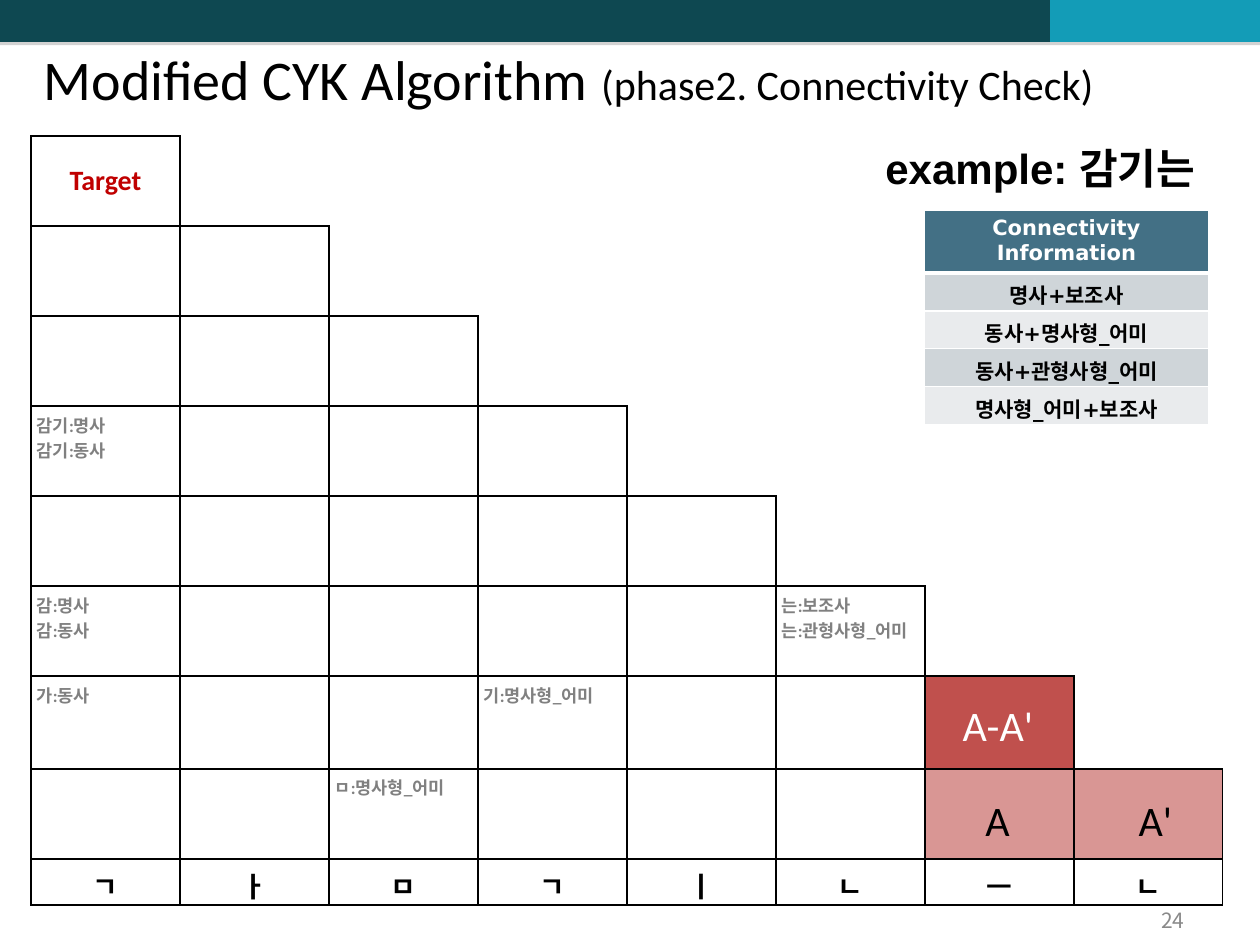
import pptx
import pptx.util
import pptx.dml.color
import pptx.enum.shapes
import pptx.enum.text
import lxml.etree

THEME = {
    "ink": "000000", "white": "FFFFFF", "gray": "808080", "page": "898989",
    "teal": "0E4851", "cyan": "139CB7", "red": "C00000", "brick": "C0504D",
    "rose": "D99694", "head": "437085", "bands": ("CFD5D9", "E9EBED"),
    "body": "Calibri", "sans": "Arial", "wide": "DejaVu Sans", "hangul": "Noto Sans CJK KR",
    "title": 32, "large": 24, "mid": 16, "small": 12, "tiny": 10,
}
BARS = [(0, 514, "teal"), (514, 536, "teal"), (1050, 210, "cyan")]
TITLE = ["Modified CYK Algorithm ", "(phase2. Connectivity Check)"]
LETTERS = "ㄱㅏㅁㄱㅣㄴㅡㄴ"
NOTES = {
    (3, 0): "감기:명사\n감기:동사",
    (5, 0): "감:명사\n감:동사",
    (5, 5): "는:보조사\n는:관형사형_어미",
    (6, 0): "가:동사",
    (6, 3): "기:명사형_어미",
    (7, 2): "ㅁ:명사형_어미",
}
FILLS = {(6, 6): "brick", (7, 6): "rose", (7, 7): "rose"}
RULES = ["Connectivity Information", "명사+보조사", "동사+명사형_어미",
         "동사+관형사형_어미", "명사형_어미+보조사"]
LABELS = [
    ((940, 693, 116, 63), "A-A'", "white"),
    ((966, 788, 63, 63), "A", "ink"),
    ((1124, 788, 63, 63), "A'", "ink"),
]
HEIGHTS = [90] * 6 + [93, 90, 43]
COL = 149
SIDES = ("L", "R", "T", "B")

Align = pptx.enum.text.PP_ALIGN
Anchor = pptx.enum.text.MSO_ANCHOR
Auto = pptx.enum.text.MSO_AUTO_SIZE
NS = "http://schemas.openxmlformats.org/drawingml/2006/main"


def px(n):
    return pptx.util.Emu(round(n * 914400 / 126))


def color(key):
    return pptx.dml.color.RGBColor.from_string(THEME.get(key, key))


def node(up, tag, **atts):
    return lxml.etree.SubElement(up, "{%s}%s" % (NS, tag), atts)


def style(run, size, face, tint, bold=False):
    font = run.font
    font.size = pptx.util.Pt(THEME[size])
    font.name = THEME[face]
    font.bold = bold
    font.color.rgb = color(tint)
    node(font._element, "ea", typeface=THEME["hangul"])


def write(frame, text, size, face, tint, bold=False, align=Align.LEFT):
    frame.text = text
    for para in frame.paragraphs:
        para.alignment = align
        for run in para.runs:
            style(run, size, face, tint, bold)


def label(box, text, size, face, tint, bold=False, align=Align.CENTER, wrap=True):
    frame = slide.shapes.add_textbox(*map(px, box)).text_frame
    write(frame, text, size, face, tint, bold, align)
    frame.word_wrap = wrap
    return frame


def border(cell, lines):
    props = cell._tc.get_or_add_tcPr()
    for spot, side in enumerate(SIDES):
        tint, width = lines.get(side, (None, 0))
        line = lxml.etree.Element("{%s}ln%s" % (NS, side), w=str(int(width * 12700)))
        if tint:
            node(node(line, "solidFill"), "srgbClr", val=THEME[tint])
        else:
            node(line, "noFill")
        props.insert(spot, line)


def grid(left, top, widths, heights):
    box = map(px, (left, top, sum(widths), sum(heights)))
    table = slide.shapes.add_table(len(heights), len(widths), *box).table
    table.first_row = table.horz_banding = False
    for col, width in zip(table.columns, widths):
        col.width = px(width)
    for row, height in zip(table.rows, heights):
        row.height = px(height)
    return table


deck = pptx.Presentation()
deck.slide_width, deck.slide_height = px(1260), px(945)
slide = deck.slides.add_slide(deck.slide_layouts[5])

for left, width, tint in BARS:
    bar = slide.shapes.add_shape(pptx.enum.shapes.MSO_SHAPE.RECTANGLE,
                                 px(left), 0, px(width), px(42))
    bar.fill.solid()
    bar.fill.fore_color.rgb = color(tint)
    bar.line.fill.background()
    bar.shadow.inherit = False
    glow = node(bar._element.spPr[-1], "outerShdw", dist="22860", dir="5400000")
    node(node(glow, "srgbClr", val=THEME["gray"]), "alpha", val="35000")

title = slide.shapes.title
title.left, title.top, title.width, title.height = map(px, (31, 38, 1191, 98))
frame = title.text_frame
frame.vertical_anchor = Anchor.TOP
frame.auto_size = Auto.NONE
para = frame.paragraphs[0]
para.alignment = Align.LEFT
for text, size in zip(TITLE, ("title", "large")):
    run = para.add_run()
    run.text = text
    style(run, size, "body", "ink")

page = label((903, 903, 294, 34), "24", "small", "hangul", "page", align=Align.RIGHT)
page.vertical_anchor = Anchor.MIDDLE

chart = grid(31, 136, [COL] * len(LETTERS), HEIGHTS)
last = len(HEIGHTS) - 1
for r in range(len(HEIGHTS)):
    for c in range(len(LETTERS)):
        cell = chart.cell(r, c)
        if (r, c) in FILLS:
            cell.fill.solid()
            cell.fill.fore_color.rgb = color(FILLS[r, c])
        else:
            cell.fill.background()
        shown = SIDES if c <= r else "LB" if c == r + 1 else ""
        border(cell, {side: ("ink", 1) for side in shown})
        if r == last:
            write(cell.text_frame, LETTERS[c], "mid", "body", "ink", True, Align.CENTER)
            continue
        cell.margin_left = cell.margin_right = cell.margin_top = cell.margin_bottom = px(6)
        if (r, c) in NOTES:
            write(cell.text_frame, NOTES[r, c], "tiny", "body", "gray", True)
goal = chart.cell(0, 0)
goal.vertical_anchor = Anchor.MIDDLE
write(goal.text_frame, "Target", "mid", "body", "red", True, Align.CENTER)

head = label((873, 136, 349, 63), "example: 감기는", "large", "sans", "ink", True, Align.LEFT, False)
head.auto_size = Auto.SHAPE_TO_FIT_TEXT

rules = grid(924, 210, [285], [32] * len(RULES))
for r, text in enumerate(RULES):
    cell = rules.cell(r, 0)
    cell.fill.solid()
    cell.fill.fore_color.rgb = color(THEME["bands"][(r - 1) % 2] if r else "head")
    lines = {side: ("white", 1) for side in SIDES}
    if r < 2:
        lines["T" if r else "B"] = ("white", 3)
    border(cell, lines)
    write(cell.text_frame, text, "small", "wide", "ink" if r else "white", True, Align.CENTER)

for box, text, tint in LABELS:
    label(box, text, "large", "body", tint).auto_size = Auto.SHAPE_TO_FIT_TEXT

deck.save("out.pptx")
